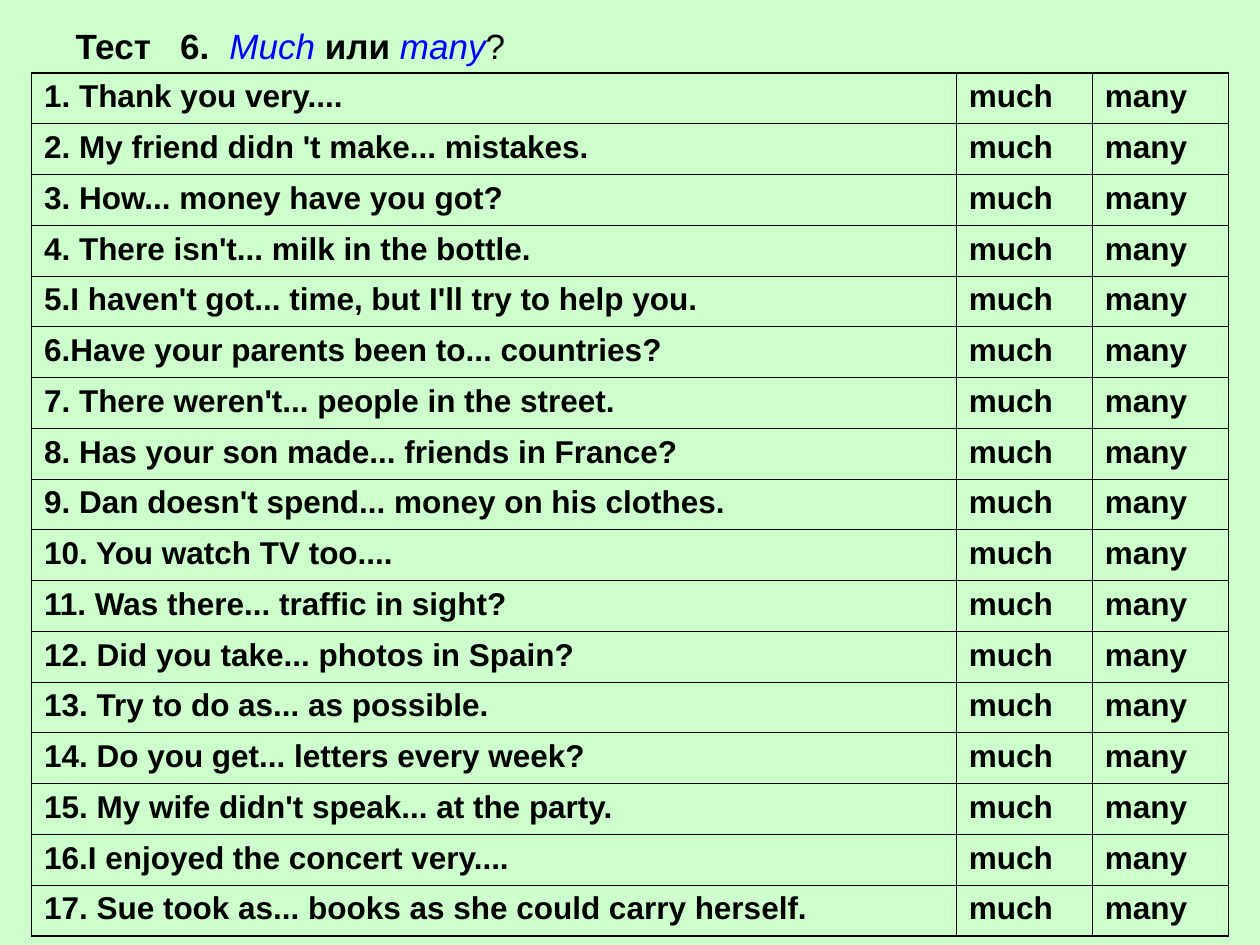
import pptx
import pptx.dml.color
import pptx.enum.text
import pptx.oxml.ns
import pptx.util
from lxml import etree

# Content
TITLE = [  # text, colour, bold, italic
    ("Тест\t6.\t", "000000", True, False),
    ("Much ", "0000FF", False, True),
    ("или ", "000000", True, False),
    ("many", "0000FF", False, True),
    ("?", "000000", False, False),
]
TITLE_TABS = (0.83, 1.22)
QUESTIONS = [
    "1. Thank you very....",
    "2. My friend didn 't make... mistakes.",
    "3. How... money have you got?",
    "4. There isn't... milk in the bottle.",
    "5.I haven't got... time, but I'll try to help you.",
    "6.Have your parents been to... countries?",
    "7. There weren't... people in the street.",
    "8. Has your son made... friends in France?",
    "9. Dan doesn't spend... money on his clothes.",
    "10. You watch TV too....",
    "11. Was there... traffic in sight?",
    "12. Did you take... photos in Spain?",
    "13. Try to do as... as possible.",
    "14. Do you get... letters every week?",
    "15. My wife didn't speak... at the party.",
    "16.I enjoyed the concert very....",
    "17. Sue took as... books as she could carry herself.",
]
ANSWERS = ["much", "many"]

# Layout
INCH = pptx.util.Inches
TABLE_LEFT, TABLE_TOP, TABLE_WIDTH, TABLE_HEIGHT = 0.25, 0.58, 9.5, 6.85
ANSWER_WIDTH = 1.08
OUTER, INNER = 1.08, 0.45


def rgb(color):
    return pptx.dml.color.RGBColor.from_string(color)


def add_element(parent, tag, **attributes):
    return etree.SubElement(parent, pptx.oxml.ns.qn(tag), attributes)


def style(font, size, color, bold, italic=False):
    font.name, font.size = "Arial", pptx.util.Pt(size)
    font.bold, font.italic = bold, italic
    font.color.rgb = rgb(color)


def set_borders(cell, edges):
    tcPr = cell._tc.get_or_add_tcPr()
    for side, is_outer in edges.items():
        width = pptx.util.Pt(OUTER if is_outer else INNER)
        line = add_element(tcPr, f"a:ln{side}", w=str(int(width)))
        fill = add_element(line, "a:solidFill")
        add_element(fill, "a:srgbClr", val="000000")


prs = pptx.Presentation()
prs.slide_width, prs.slide_height = INCH(10), INCH(7.5)
s = prs.slides.add_slide(prs.slide_layouts[5])
s.background.fill.solid()
s.background.fill.fore_color.rgb = rgb("CCFFCC")

# Title
sp = s.shapes.title
sp.left, sp.top, sp.width, sp.height = map(INCH, (0.5, 0.3, 3.83, 0.12))
tf = sp.text_frame
tf.word_wrap = True
tf.auto_size = pptx.enum.text.MSO_AUTO_SIZE.NONE
tf.vertical_anchor = pptx.enum.text.MSO_ANCHOR.MIDDLE
p = tf.paragraphs[0]
p.alignment = pptx.enum.text.PP_ALIGN.LEFT
tabs = add_element(p._p.get_or_add_pPr(), "a:tabLst")
for position in TITLE_TABS:
    add_element(tabs, "a:tab", pos=str(int(INCH(position))), algn="l")
for text, color, bold, italic in TITLE:
    r = p.add_run()
    r.text = text
    style(r.font, 20, color, bold, italic)

# Table of questions with the two possible answers
rows, cols = len(QUESTIONS), 1 + len(ANSWERS)
table = s.shapes.add_table(
    rows, cols, *map(INCH, (TABLE_LEFT, TABLE_TOP, TABLE_WIDTH, TABLE_HEIGHT))
).table
table.first_row = table.horz_banding = False
for col in table.columns:
    col.width = INCH(ANSWER_WIDTH)
table.columns[0].width = INCH(TABLE_WIDTH - ANSWER_WIDTH * len(ANSWERS))

for i, question in enumerate(QUESTIONS):
    for j, text in enumerate([question, *ANSWERS]):
        cell = table.cell(i, j)
        set_borders(cell, {"L": j == 0, "R": j == cols - 1,
                           "T": i == 0, "B": i == rows - 1})
        cell.fill.background()
        cell.text_frame.text = text
        style(cell.text_frame.paragraphs[0].runs[0].font, 18, "000000", True)

prs.save("out.pptx")
